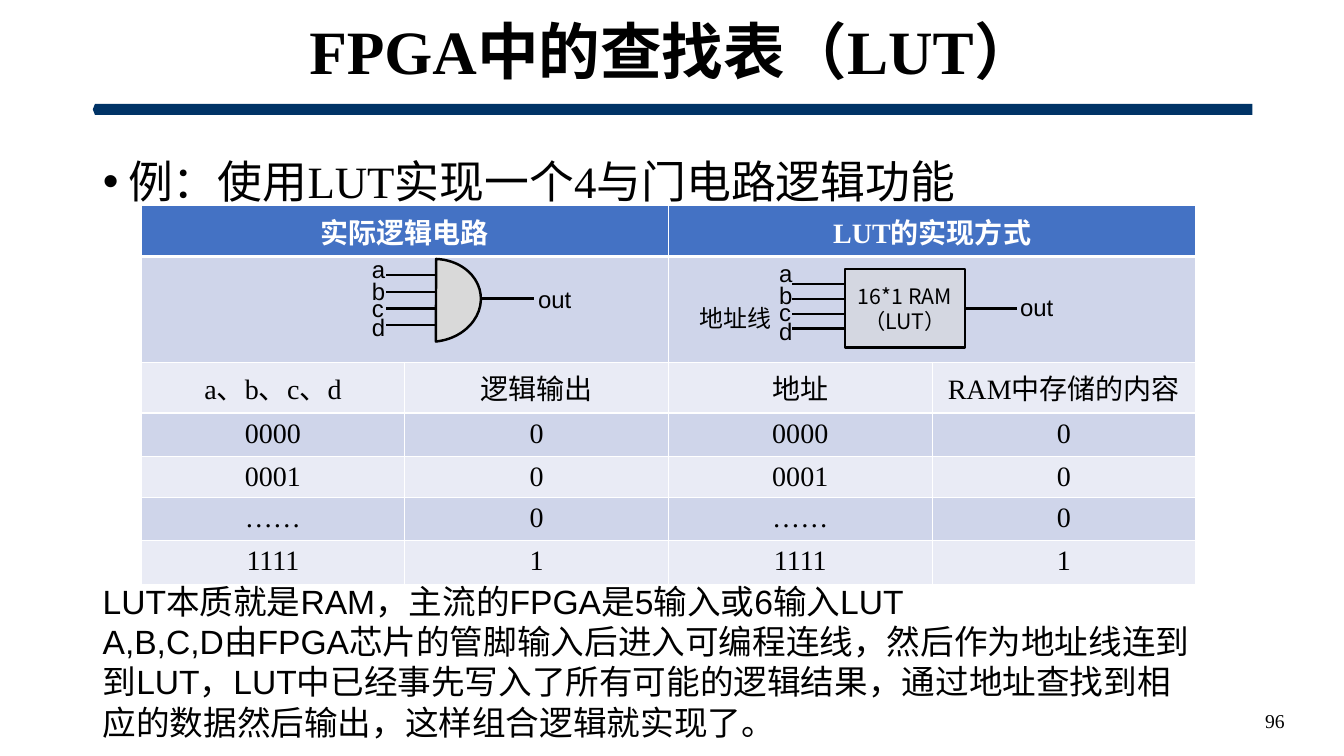
from lxml import etree
from pptx import Presentation
from pptx.dml.color import RGBColor
from pptx.enum.shapes import MSO_CONNECTOR, MSO_SHAPE
from pptx.enum.text import MSO_ANCHOR, MSO_AUTO_SIZE, PP_ALIGN
from pptx.oxml.ns import qn
from pptx.util import Inches, Pt

BLACK = RGBColor(0x00, 0x00, 0x00)
WHITE = RGBColor(0xFF, 0xFF, 0xFF)
NAVY = RGBColor(0x00, 0x33, 0x66)
HEADER_BLUE = RGBColor(0x44, 0x72, 0xC4)
BAND_DARK = RGBColor(0xCF, 0xD5, 0xEA)
BAND_LIGHT = RGBColor(0xE9, 0xEB, 0xF5)
GREY = RGBColor(0xD9, 0xD9, 0xD9)

LEFT, CENTER, RIGHT = PP_ALIGN.LEFT, PP_ALIGN.CENTER, PP_ALIGN.RIGHT
TOP, MIDDLE = MSO_ANCHOR.TOP, MSO_ANCHOR.MIDDLE
NO_FIT, FIT_SHAPE = MSO_AUTO_SIZE.NONE, MSO_AUTO_SIZE.SHAPE_TO_FIT_TEXT
STRAIGHT = MSO_CONNECTOR.STRAIGHT
RECTANGLE, CHORD, PENTAGON = MSO_SHAPE.RECTANGLE, MSO_SHAPE.CHORD, MSO_SHAPE.PENTAGON

SERIF, SANS, CJK = "Times New Roman", "Arial", "Noto Sans CJK SC"
LINE_WIDTH = Pt(1.75)
PIN_OFFSETS = (0, 0.21, 0.38, 0.57)
TRUTH_ROWS = (("0000", "0"), ("0001", "0"), ("……", "0"), ("1111", "1"))


def write(paragraph, text, size, font, color=BLACK, bold=False, align=LEFT):
    paragraph.alignment = align
    run = paragraph.add_run()
    run.text = text
    run.font.size = Pt(size)
    run.font.name = font
    run.font.bold = bold
    run.font.color.rgb = color


def place(shape, left, top, width, height):
    shape.left, shape.top = Inches(left), Inches(top)
    shape.width, shape.height = Inches(width), Inches(height)


def add_text(slide, box, lines, size, font=SANS, align=LEFT, anchor=TOP,
             wrap=False, fit=FIT_SHAPE):
    frame = slide.shapes.add_textbox(*map(Inches, box)).text_frame
    frame.word_wrap = wrap
    frame.auto_size = fit
    frame.vertical_anchor = anchor
    for i, line in enumerate(lines):
        paragraph = frame.add_paragraph() if i else frame.paragraphs[0]
        write(paragraph, line, size, font, align=align)


def add_block(slide, kind, box, fill, outlined=True):
    block = slide.shapes.add_shape(kind, *map(Inches, box))
    block.shadow.inherit = False
    block.fill.solid()
    block.fill.fore_color.rgb = fill
    if outlined:
        block.line.color.rgb = BLACK
        block.line.width = LINE_WIDTH
    else:
        block.line.fill.background()
    return block


def add_wire(slide, left, y, length=0.52):
    wire = slide.shapes.add_connector(
        STRAIGHT, Inches(left), Inches(y), Inches(left + length), Inches(y))
    wire.line.color.rgb = BLACK
    wire.line.width = LINE_WIDTH
    etree.SubElement(wire._element.spPr, qn("a:effectLst"))
    return wire


def draw_heading(slide, left, top, width):
    title = slide.shapes.title
    place(title, left, top, width, 0.82)
    title.text_frame.vertical_anchor = MIDDLE
    title.text_frame.auto_size = NO_FIT
    heading = title.text_frame.paragraphs[0]
    heading.line_spacing = 0.9
    write(heading, "FPGA中的查找表（LUT）", 44, SERIF, bold=True, align=CENTER)
    # Rule under the title, its point facing left
    rule = add_block(slide, PENTAGON, (left, top + 0.9, width, 0.11), NAVY, False)
    rule.adjustments[0] = 0.2
    rule.rotation = 180


def draw_example(slide, left, top, width, height):
    body = slide.placeholders[1]
    place(body, left, top, width, height)
    body.text_frame.auto_size = NO_FIT
    example = body.text_frame.paragraphs[0]
    properties = example._p.get_or_add_pPr()
    properties.set("marL", str(Inches(0.25)))
    properties.set("indent", str(-Inches(0.25)))
    etree.SubElement(properties, qn("a:buFont"), typeface=SANS)
    etree.SubElement(properties, qn("a:buChar"), char="•")
    example.line_spacing = 1.5
    example.space_before = Pt(0)
    write(example, "例：使用LUT实现一个4与门电路逻辑功能", 32, SERIF)


def set_borders(cell, is_header):
    properties = cell._tc.get_or_add_tcPr()
    for i, side in enumerate(("lnL", "lnR", "lnT", "lnB")):
        width = Pt(3) if is_header and side == "lnB" else Pt(1)
        border = etree.Element(qn("a:" + side), w=str(width))
        fill = etree.SubElement(border, qn("a:solidFill"))
        etree.SubElement(fill, qn("a:srgbClr"), val=str(WHITE))
        properties.insert(i, border)


def draw_comparison(slide, left, top, width):
    heights = (0.45, 1.05, 0.35, 0.43, 0.33, 0.43, 0.43)
    rows = [("实际逻辑电路", "", "LUT的实现方式", ""), ("",) * 4,
            ("a、b、c、d", "逻辑输出", "地址", "RAM中存储的内容")]
    rows += [pair * 2 for pair in TRUTH_ROWS]
    table = slide.shapes.add_table(
        len(rows), 4, Inches(left), Inches(top), Inches(width),
        Inches(sum(heights))).table
    for r, (texts, height) in enumerate(zip(rows, heights)):
        table.rows[r].height = Inches(height)
        is_header = r == 0
        fill = HEADER_BLUE if is_header else BAND_DARK if r % 2 else BAND_LIGHT
        for c, text in enumerate(texts):
            cell = table.cell(r, c)
            cell.fill.solid()
            cell.fill.fore_color.rgb = fill
            set_borders(cell, is_header)
            if text:
                write(cell.text_frame.paragraphs[0], text, 20, SERIF,
                      WHITE if is_header else BLACK, is_header, CENTER)
    for r in (0, 1):
        for c in (0, 2):
            table.cell(r, c).merge(table.cell(r, c + 1))


def draw_inputs(slide, left, top, wire_left, first_wire, wire_gap):
    for i, (pin, offset) in enumerate(zip("abcd", PIN_OFFSETS)):
        add_text(slide, (left, top + offset, 0.33, 0.39), [pin], 17.1)
        add_wire(slide, wire_left, first_wire + i * wire_gap)


def draw_and_gate(slide, left, top):
    draw_inputs(slide, left, top, left + 0.24, top + 0.25, 0.165)
    add_wire(slide, left + 1.19, top + 0.48)
    gate = add_block(slide, CHORD, (left + 0.21, top + 0.09, 0.97, 0.82), GREY)
    gate.adjustments[0] = 61.27
    gate.adjustments[1] = 162.78
    gate.rotation = 173.4
    add_text(slide, (left + 1.65, top + 0.29, 0.53, 0.39), ["out"], 17.1)


def draw_lut(slide, left, top):
    ram = add_block(slide, RECTANGLE, (left + 1.54, top + 0.15, 1.19, 0.78), GREY)
    color = ram.fill._xPr.find(qn("a:solidFill"))[0]
    etree.SubElement(color, qn("a:alpha"), val="50000")
    frame = ram.text_frame
    frame.vertical_anchor = MIDDLE
    write(frame.paragraphs[0], "16*1 RAM", 15.2, CJK, align=CENTER)
    write(frame.add_paragraph(), "（LUT）", 15.2, CJK, align=CENTER)
    draw_inputs(slide, left + 0.79, top, left + 1.02, top + 0.3, 0.147)
    add_wire(slide, left + 2.73, top + 0.54).begin_connect(ram, 3)
    add_text(slide, (left + 3.18, top + 0.33, 0.53, 0.39), ["out"], 17.1)
    add_text(slide, (left, top + 0.44, 0.91, 0.39), ["地址线"], 17.1)


def draw_notes(slide, left, top, width, height):
    add_text(slide, (left, top, width, height), [
        "LUT本质就是RAM，主流的FPGA是5输入或6输入LUT",
        "A,B,C,D由FPGA芯片的管脚输入后进入可编程连线，然后作为地址线连到到LUT，"
        "LUT中已经事先写入了所有可能的逻辑结果，通过地址查找到相应的数据然后输出，"
        "这样组合逻辑就实现了。"], 24, wrap=True)


def main():
    presentation = Presentation()
    presentation.slide_width = Inches(13.33)
    presentation.slide_height = Inches(7.5)
    slide = presentation.slides.add_slide(presentation.slide_layouts[1])
    draw_heading(slide, 0.92, 0.13, 11.5)
    draw_example(slide, 0.92, 1.21, 11.5, 5.55)
    draw_comparison(slide, 1.4, 2.04, 10.46)
    draw_lut(slide, 6.84, 2.52)
    draw_and_gate(slide, 3.59, 2.48)
    draw_notes(slide, 0.92, 5.71, 11.1, 1.72)
    # Page number
    add_text(slide, (9.84, 6.95, 3, 0.4), ["96"], 14, SERIF, RIGHT, MIDDLE,
             wrap=True, fit=NO_FIT)
    presentation.save("out.pptx")


if __name__ == "__main__":
    main()
